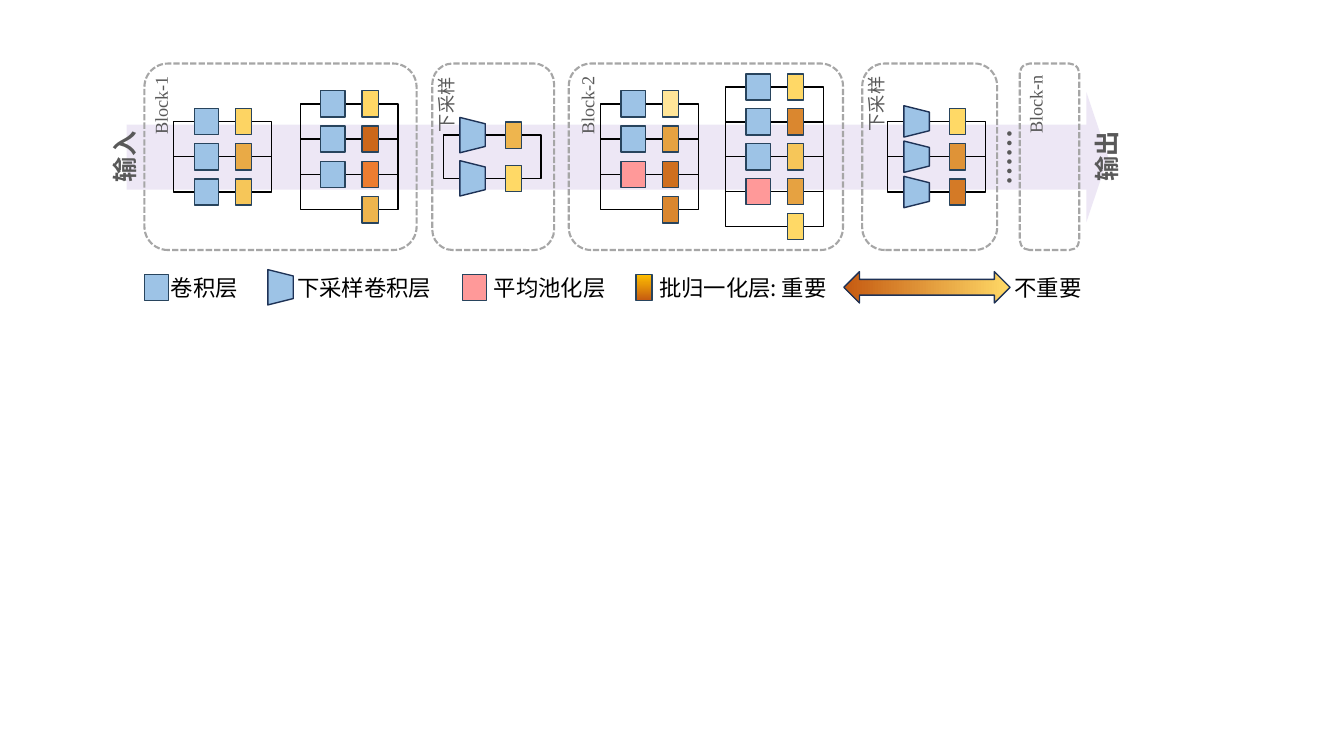
from dataclasses import dataclass

import lxml.etree
import pptx
import pptx.dml.color
import pptx.enum.dml
import pptx.enum.shapes
import pptx.enum.text
import pptx.oxml.ns
import pptx.util

Cm = pptx.util.Cm
Preset = pptx.enum.shapes.MSO_SHAPE
Align = pptx.enum.text.PP_ALIGN
qn = pptx.oxml.ns.qn

COLOURS = {
    "flow": "8964C0", "outline": "A6A6A6", "label": "595959", "wire": "000000",
    "convolution": "9DC3E6", "pooling": "FF9999",
    "layer_edge": "28445D", "sampling_edge": "1E3256",
    "pale": "FFE699", "lemon": "FFD966", "yellow": "FFD866", "corn": "FDD463",
    "honey": "F6C659", "amber": "EEB54E", "gold": "E9AA46", "ochre": "E6A241",
    "caramel": "DF9337", "copper": "DA872F", "bronze": "D47A26", "orange": "ED7D31",
    "rust": "CF6F1F", "brick": "CB671A", "bright": "FFC000", "dark": "C55A11",
}
SERIF = "Times New Roman"
SANS = "Noto Sans CJK SC"
MIDDLE = 3.95
LEGEND = 7.24
RAIL_WIDTH = 2.46


@dataclass
class Stage:
    x: float
    width: float
    corner: float = 0.16667


@dataclass
class Branches:
    x: float
    pitch: float
    layers: list[str]
    norms: list[str]
    sampling_size: float = 0.79


@dataclass
class Label:
    text: str
    x: float
    y: float
    width: float
    height: float
    size: int
    font: str = SANS
    colour: str = "label"
    bold: bool = False
    centred: bool = False
    wrap: bool = False
    rotation: int = 270


STAGES = [
    Stage(7.07, 6.86, 0.126), Stage(17.79, 6.91, 0.12), Stage(26.45, 1.5),
    Stage(12.43, 3.07), Stage(23.43, 3.4),
]
CONV, POOL, SAMPLE, NONE = "convolution", "pooling", "sampling", ""
BRANCHES = [
    Branches(5.61, 0.89, [CONV] * 3, ["corn", "gold", "honey"]),
    Branches(8.8, 0.89, [CONV] * 3 + [NONE], ["yellow", "brick", "orange", "amber"]),
    Branches(12.41, 1.09, [SAMPLE] * 2, ["amber", "lemon"], 0.89),
    Branches(16.37, 0.89, [CONV, CONV, POOL, NONE], ["pale", "ochre", "rust", "copper"]),
    Branches(19.52, 0.88, [CONV] * 3 + [POOL, NONE],
             ["yellow", "copper", "honey", "ochre", "lemon"]),
    Branches(23.6, 0.89, [SAMPLE] * 3, ["lemon", "caramel", "bronze"]),
]
LABELS = [
    Label("……", 25.22, 3.96, 1.93, 1.12, 20, SERIF, bold=True, centred=True),
    Label("Block-1", 4.05, 2.62, 2.06, 0.81, 13, SERIF),
    Label("Block-2", 14.8, 2.64, 2.01, 0.81, 13, SERIF),
    Label("Block-n", 26.1, 2.62, 2.01, 0.81, 13, SERIF),
    Label("输入", 3.14, 3.94, 1.8, 1.02, 18, bold=True),
    Label("输出", 27.88, 3.94, 1.8, 1.02, 18, bold=True, centred=True),
    Label("下采样", 11.26, 2.64, 2.11, 0.81, 13, centred=True, wrap=True),
    Label("下采样", 22.09, 2.62, 2.11, 0.81, 13, centred=True, wrap=True),
] + [
    Label(text, x, 7.25, width, 0.94, 16, colour="wire", rotation=0)
    for text, x, width in [
        ("卷积层", 5.18, 2.24), ("下采样卷积层", 9.21, 3.94), ("平均池化层", 13.87, 3.35),
        ("批归一化层: 重要", 18.9, 5.08), ("不重要", 26.44, 2.24),
    ]
]


def rgb(name: str) -> pptx.dml.color.RGBColor:
    return pptx.dml.color.RGBColor.from_string(COLOURS[name])


def add_centred(slide, preset, x: float, y: float, width: float, height: float,
                rotation: int = 270, fill: str = "", edge: str = "", weight: float = 1):
    shape = slide.shapes.add_shape(
        preset, Cm(x - width / 2), Cm(y - height / 2), Cm(width), Cm(height))
    shape.rotation = rotation
    shape.shadow.inherit = False
    if fill:
        shape.fill.solid()
        shape.fill.fore_color.rgb = rgb(fill)
    else:
        shape.fill.background()
    if edge:
        shape.line.color.rgb = rgb(edge)
        shape.line.width = pptx.util.Pt(weight)
    else:
        shape.line.fill.background()
    return shape


def add_flow_arrow(slide) -> None:
    arrow = add_centred(slide, Preset.DOWN_ARROW, 15.56, 3.96, 3.28, 24.74, fill="flow")
    arrow.adjustments[0] = 0.5
    arrow.adjustments[1] = 0.168
    colour = arrow._element.spPr.find(qn("a:solidFill"))[0]
    lxml.etree.SubElement(colour, qn("a:alpha")).set("val", "15000")


def add_stage(slide, stage: Stage) -> None:
    shape = add_centred(slide, Preset.ROUNDED_RECTANGLE, stage.x, MIDDLE, 4.7, stage.width,
                        edge="outline", weight=1.5)
    shape.adjustments[0] = stage.corner
    shape.line.dash_style = pptx.enum.dml.MSO_LINE.SQUARE_DOT


def add_wire(slide, x: float, y: float) -> None:
    wire = slide.shapes.add_connector(
        pptx.enum.shapes.MSO_CONNECTOR.STRAIGHT,
        Cm(x - RAIL_WIDTH / 2), Cm(y), Cm(x + RAIL_WIDTH / 2), Cm(y))
    wire.line.color.rgb = rgb("wire")
    wire.line.width = pptx.util.Pt(1)
    lxml.etree.SubElement(wire._element.spPr, qn("a:effectLst"))


def add_layer(slide, kind: str, x: float, y: float, sampling_size: float = 0.89) -> None:
    if kind == SAMPLE:
        add_centred(slide, Preset.TRAPEZOID, x, y, sampling_size, 0.64, 90,
                    CONV, "sampling_edge")
    else:
        add_centred(slide, Preset.RECTANGLE, x, y, 0.66, 0.61, fill=kind, edge="layer_edge")


def add_norm(slide, x: float, y: float, fill: str):
    return add_centred(slide, Preset.RECTANGLE, x, y, 0.66, 0.41, fill=fill, edge="layer_edge")


def add_branches(slide, branches: Branches) -> None:
    height = branches.pitch * (len(branches.norms) - 1)
    rows = [MIDDLE - height / 2 + index * branches.pitch for index in range(len(branches.norms))]
    add_centred(slide, Preset.RECTANGLE, branches.x, MIDDLE, height, RAIL_WIDTH, edge="wire")
    for y in rows[1:-1]:
        add_wire(slide, branches.x, y)
    for y, layer, norm in zip(rows, branches.layers, branches.norms):
        if layer:
            offset = 0.5 if layer == SAMPLE else 0.41
            add_layer(slide, layer, branches.x - offset, y, branches.sampling_size)
        add_norm(slide, branches.x + 0.53, y, norm)


def set_gradient(shape, start: str, end: str) -> None:
    shape.fill.gradient()
    shape.fill.gradient_angle = 180
    for stop, colour in zip(shape.fill.gradient_stops, (start, end)):
        stop.color.rgb = rgb(colour)


def add_legend(slide) -> None:
    for kind, x in [(CONV, 3.94), (SAMPLE, 7.07), (POOL, 11.96)]:
        add_layer(slide, kind, x, LEGEND)
    set_gradient(add_norm(slide, 16.23, LEGEND, "bright"), "bright", "dark")
    scale = add_centred(slide, Preset.LEFT_RIGHT_ARROW, 23.36, LEGEND, 4.19, 0.79, 0,
                        edge="sampling_edge")
    set_gradient(scale, "lemon", "dark")


def add_label(slide, label: Label) -> None:
    shape = slide.shapes.add_textbox(
        Cm(label.x - label.width / 2), Cm(label.y - label.height / 2),
        Cm(label.width), Cm(label.height))
    shape.rotation = label.rotation
    frame = shape.text_frame
    frame.word_wrap = label.wrap
    frame.auto_size = pptx.enum.text.MSO_AUTO_SIZE.SHAPE_TO_FIT_TEXT
    paragraph = frame.paragraphs[0]
    paragraph.text = label.text
    paragraph.alignment = Align.CENTER if label.centred else Align.LEFT
    font = paragraph.font
    font.size = pptx.util.Pt(label.size)
    font.bold = label.bold
    font.color.rgb = rgb(label.colour)
    font.name = label.font
    properties = paragraph._p.pPr.find(qn("a:defRPr"))
    lxml.etree.SubElement(properties, qn("a:ea")).set("typeface", label.font)


def main() -> None:
    presentation = pptx.Presentation()
    presentation.slide_width = Cm(33.87)
    presentation.slide_height = Cm(19.05)
    slide = presentation.slides.add_slide(presentation.slide_layouts[6])
    add_flow_arrow(slide)
    for stage in STAGES:
        add_stage(slide, stage)
    for branches in BRANCHES:
        add_branches(slide, branches)
    add_legend(slide)
    for label in LABELS:
        add_label(slide, label)
    presentation.save("out.pptx")


if __name__ == "__main__":
    main()
